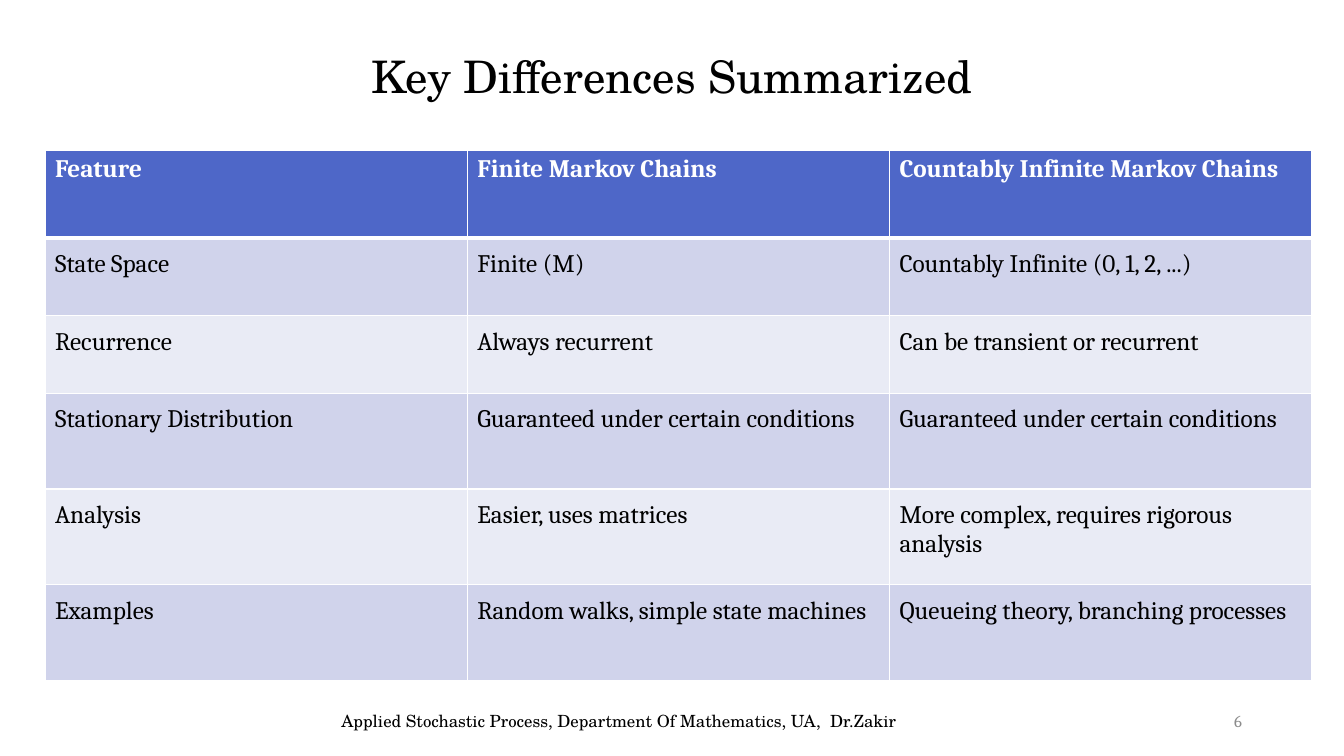
from lxml.etree import SubElement
from pptx import Presentation
from pptx.dml.color import RGBColor
from pptx.enum.text import MSO_ANCHOR, PP_ALIGN
from pptx.oxml.ns import qn
from pptx.util import Cm, Pt

SCHOLA = "TeX Gyre Schola"
CAMBRIA = "Cambria"
BLACK = "000000"
WHITE = "FFFFFF"
GREY = "8C8C8C"
HEADER_FILL = "4E67C8"
BAND_FILLS = ("E9EBF5", "D0D3EB")

COLUMN_WIDTHS = [10.64] * 3
ROW_HEIGHTS = [2.21, 1.96, 1.96, 2.41, 2.41, 2.41]
DIFFERENCES = [
    ("Feature", "Finite Markov Chains", "Countably Infinite Markov Chains"),
    ("State Space", "Finite (M)", "Countably Infinite (0, 1, 2, ...)"),
    ("Recurrence", "Always recurrent", "Can be transient or recurrent"),
    ("Stationary Distribution", "Guaranteed under certain conditions",
     "Guaranteed under certain conditions"),
    ("Analysis", "Easier, uses matrices", "More complex, requires rigorous analysis"),
    ("Examples", "Random walks, simple state machines",
     "Queueing theory, branching processes"),
]


def color(value):
    return RGBColor.from_string(value)


def apply(target, values):
    for name, value in values.items():
        setattr(target, name, value)


class SlideBuilder:
    def __init__(self, page):
        self.page = page

    def fill_frame(self, frame, text, size, font, ink, bold=False, **layout):
        para = frame.paragraphs[0]
        apply(para, layout)
        span = para.add_run()
        span.text = text
        apply(span.font, {"size": Pt(size), "name": font, "bold": bold})
        span.font.color.rgb = color(ink)

    def text(self, place, text, size, font, ink, **layout):
        box = self.page.shapes.add_textbox(*map(Cm, place))
        frame = box.text_frame
        apply(frame, {"word_wrap": True, "vertical_anchor": MSO_ANCHOR.MIDDLE})
        self.fill_frame(frame, text, size, font, ink, **layout)

    def borders(self, cell, top, bottom):
        properties = cell._tc.get_or_add_tcPr()
        widths = {"a:lnL": 1, "a:lnR": 1, "a:lnT": top, "a:lnB": bottom}
        for tag, width in widths.items():
            line = SubElement(properties, qn(tag), w=str(Pt(width)))
            fill = SubElement(line, qn("a:solidFill"))
            SubElement(fill, qn("a:srgbClr"), val=WHITE)

    def table(self, left, top, widths, heights, rows):
        place = map(Cm, (left, top, sum(widths), sum(heights)))
        table = self.page.shapes.add_table(len(rows), len(widths), *place).table
        for column, width in zip(table.columns, widths):
            column.width = Cm(width)
        for index, (row, height) in enumerate(zip(table.rows, heights)):
            row.height = Cm(height)
            header = index == 0
            for cell, text in zip(row.cells, rows[index]):
                apply(cell, {
                    "margin_left": Cm(0.25),
                    "margin_right": Cm(0.25),
                    "margin_top": Cm(0.13 if header else 0.3),
                    "margin_bottom": Cm(0.3),
                })
                self.borders(cell, 3 if index == 1 else 1, 3 if header else 1)
                cell.fill.solid()
                cell.fill.fore_color.rgb = color(
                    HEADER_FILL if header else BAND_FILLS[index % 2])
                self.fill_frame(cell.text_frame, text, 18, CAMBRIA,
                                WHITE if header else BLACK, header)


def main():
    deck = Presentation()
    apply(deck, {"slide_width": Cm(33.87), "slide_height": Cm(19.05)})
    builder = SlideBuilder(deck.slides.add_slide(deck.slide_layouts[6]))
    builder.text((2.33, 0.74, 29.21, 2.49), "Key Differences Summarized", 32,
                 SCHOLA, BLACK, alignment=PP_ALIGN.CENTER, line_spacing=0.9)
    builder.text((7.44, 17.65, 16.33, 1.02),
                 "Applied Stochastic Process, Department Of Mathematics, UA,  Dr.Zakir",
                 12, SCHOLA, BLACK, alignment=PP_ALIGN.CENTER)
    builder.text((23.93, 17.65, 7.62, 1.02), "6", 12, CAMBRIA, GREY,
                 alignment=PP_ALIGN.RIGHT)
    builder.table(1.14, 3.78, COLUMN_WIDTHS, ROW_HEIGHTS, DIFFERENCES)
    deck.save("out.pptx")


if __name__ == "__main__":
    main()
